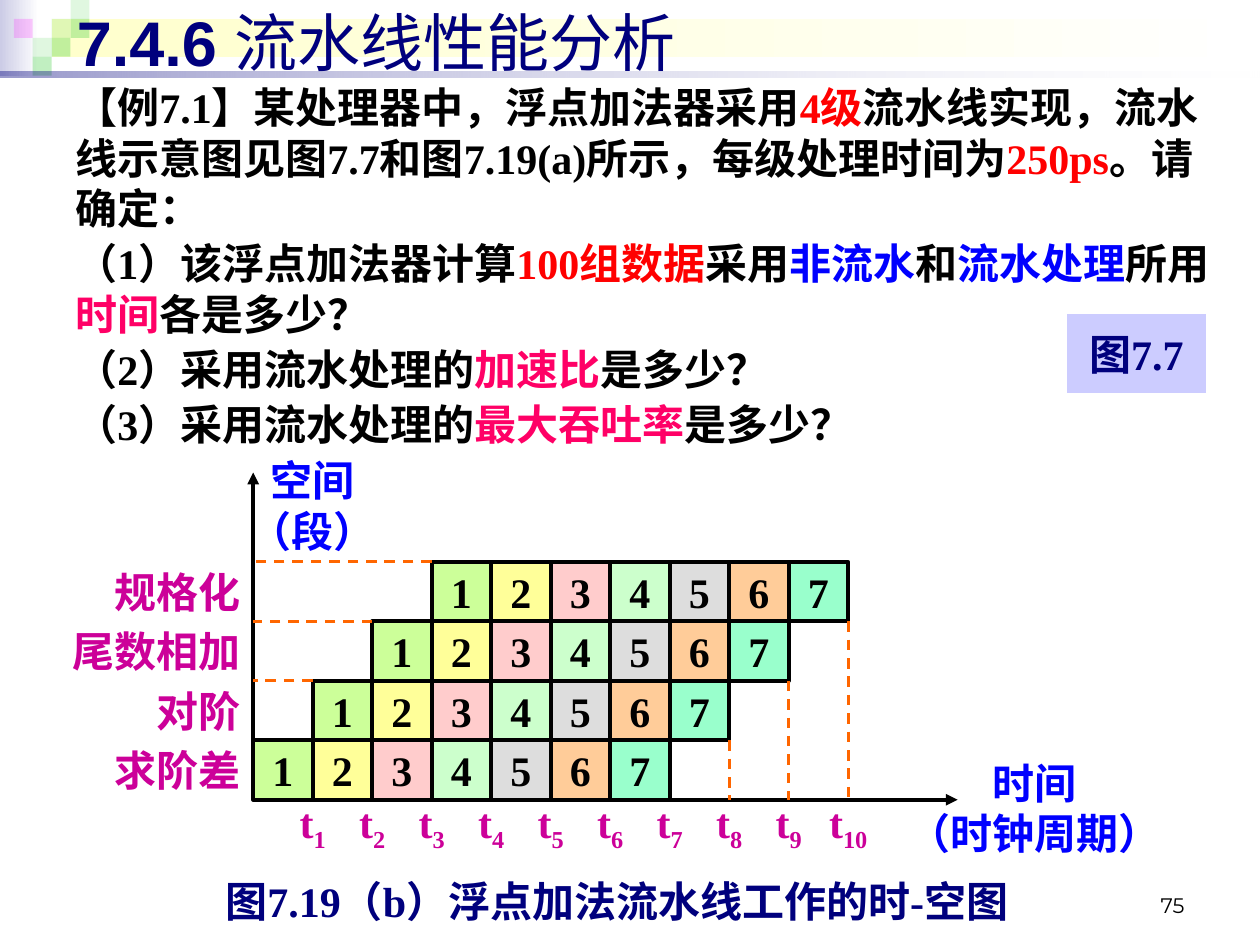
from pptx import Presentation
from pptx.dml.color import RGBColor
from pptx.enum.dml import MSO_LINE
from pptx.enum.shapes import MSO_CONNECTOR, MSO_SHAPE
from pptx.enum.text import MSO_ANCHOR as ANCHOR, MSO_AUTO_SIZE, PP_ALIGN as ALIGN
from pptx.oxml.ns import qn
from pptx.util import Pt
from lxml.etree import SubElement


class Theme:
    navy, black, red = "00007D", "000000", "FF0000"
    blue, pink, magenta, orange = "0000FF", "FF0066", "CC0099", "FF6600"
    green, violet, button = "33CC33", "FF00FF", "CCCCFF"
    bands = [("CCCCE6", "FFFFFF"), ("FFFFCC", "FFFFFF"), ("00007D", "FFFFFF")]
    tasks = ["CCFF99", "FFFF99", "FFCCCC", "CCFFCC", "DDDDDD", "FFCC99", "99FFCC"]
    title_size, text_size, number_size = 36, 24, 12
    title_font, text_font, number_font = "Arial", "Times New Roman", "Montserrat"


def write(shape, *paragraphs, color=Theme.black, size=Theme.text_size,
          font=Theme.text_font, align=ALIGN.LEFT, anchor=ANCHOR.MIDDLE,
          wrap=False, gap=0):
    """Each paragraph is a list of runs: text, or (text, format changes)."""
    frame = shape.text_frame
    frame.auto_size = MSO_AUTO_SIZE.NONE
    frame.word_wrap = wrap
    frame.vertical_anchor = anchor
    for index, runs in enumerate(paragraphs):
        paragraph = frame.add_paragraph() if index else frame.paragraphs[0]
        paragraph.alignment = align
        paragraph.space_before = Pt(gap if index else 0)
        for item in runs:
            text, changes = (item, {}) if isinstance(item, str) else item
            run = paragraph.add_run()
            run.text = text
            run.font.name = font
            run.font.size = Pt(size)
            run.font.bold = changes.get("bold", True)
            run.font.color.rgb = RGBColor.from_string(changes.get("color", color))
            if "baseline" in changes:
                run.font._element.set("baseline", str(changes["baseline"]))


def block(x, y, width, height, colors, opacities=(100,), kind=MSO_SHAPE.RECTANGLE):
    """A borderless shape; two colours make a left-to-right gradient."""
    shape = slide.shapes.add_shape(kind, Pt(x), Pt(y), Pt(width), Pt(height))
    shape.shadow.inherit = False
    shape.line.fill.background()
    if len(colors) == 1:
        shape.fill.solid()
        targets = [shape.fill.fore_color]
    else:
        shape.fill.gradient()
        shape.fill.gradient_angle = 0
        targets = [stop.color for stop in shape.fill.gradient_stops]
    for target, color in zip(targets, colors):
        target.rgb = RGBColor.from_string(color)
    for node, opacity in zip(shape._element.spPr.iter(qn("a:srgbClr")), opacities):
        if opacity < 100:
            SubElement(node, qn("a:alpha")).set("val", str(opacity * 1000))
    return shape


deck = Presentation()
deck.slide_width, deck.slide_height = Pt(720), Pt(540)
slide = deck.slides.add_slide(deck.slide_layouts[5])

# Header decoration
side_band, title_band, rule_band = Theme.bands
block(0, 0, 22.3, 43.2, side_band, (100, 100))
block(29.5, 10.8, 687.6, 21.6, title_band, (100, 100))
TILE = 10.8
for column, row, color, opacity in [
        (2, 1, Theme.green, 15), (3, 0, Theme.green, 15), (3, 1, Theme.green, 30),
        (1, 2, Theme.green, 15), (0, 1, Theme.violet, 20), (2, 2, Theme.green, 30),
        (1, 3, Theme.green, 30)]:
    block(7.9 + column * TILE, row * TILE, TILE, TILE, [color], (opacity,))
block(0, 41, 720, 3.6, rule_band, (40, 10))

# Title, brought in front of the decoration
title = slide.shapes.title
title.left, title.top, title.width, title.height = Pt(36.7), Pt(-2.2), Pt(674.6), Pt(51.1)
write(title, ["7.4.6 ", ("流水线性能分析", {"bold": False})], color=Theme.navy,
      size=Theme.title_size, font=Theme.title_font, wrap=True)
slide.shapes._spTree.append(title._element)

# Page number
page = slide.shapes.add_textbox(Pt(516.2), Pt(491.8), Pt(167.8), Pt(36))
write(page, [("75", {"bold": False})], size=Theme.number_size,
      font=Theme.number_font, align=ALIGN.RIGHT, anchor=ANCHOR.BOTTOM)

# Example and its questions
red, blue, pink = ({"color": color} for color in (Theme.red, Theme.blue, Theme.pink))
example = slide.shapes.add_textbox(Pt(36), Pt(43.2), Pt(675.4), Pt(481.7))
write(example,
      ["【例7.1】某处理器中，浮点加法器采用", ("4级", red),
       "流水线实现，流水线示意图见图7.7和图7.19(a)所示，每级处理时间为",
       ("250ps", red), "。请确定："],
      ["（1）该浮点加法器计算", ("100组数据", red), "采用", ("非流水", blue), "和",
       ("流水处理", blue), "所用", ("时间", pink), "各是多少？"],
      ["（2）采用流水处理的", ("加速比", pink), "是多少？"],
      ["（3）采用流水处理的", ("最大吞吐率", pink), "是多少？"],
      anchor=ANCHOR.TOP, wrap=True, gap=2.8)

# Figure button
figure_button = block(609.8, 179.3, 79.2, 45.4, [Theme.button],
                      kind=MSO_SHAPE.ACTION_BUTTON_CUSTOM)
write(figure_button, ["图7.7"], color=Theme.navy, align=ALIGN.CENTER)

# Space-time grid: each stage starts one step later than the stage below
STEP, ORIGIN_X, ORIGIN_Y = 34, 144.7, 457
stages = ["求阶差", "对阶", "尾数相加", "规格化"]
for level, stage in enumerate(stages):
    top = ORIGIN_Y - (level + 1) * STEP
    label = slide.shapes.add_textbox(Pt(42.5), Pt(top), Pt(102.2), Pt(STEP))
    write(label, [stage], color=Theme.magenta, align=ALIGN.RIGHT)
    for task, color in enumerate(Theme.tasks):
        cell = block(ORIGIN_X + (level + task) * STEP, top, STEP, STEP, [color])
        cell.line.color.rgb = RGBColor.from_string(Theme.black)
        cell.line.width = Pt(2.25)
        write(cell, [str(task + 1)], align=ALIGN.CENTER)

# Time ticks
for tick in range(1, 11):
    mark = slide.shapes.add_textbox(Pt(ORIGIN_X + (tick - 0.5) * STEP), Pt(451.4),
                                    Pt(STEP), Pt(STEP))
    write(mark, ["t", (str(tick), {"baseline": -25000})], color=Theme.magenta,
          align=ALIGN.CENTER, anchor=ANCHOR.TOP)

# Axes and dashed guides, as start and end points
axes = [(ORIGIN_X, ORIGIN_Y, 547.2, ORIGIN_Y), (ORIGIN_X, ORIGIN_Y, ORIGIN_X, 270)]
guides = []
for level in range(1, len(stages)):
    top = ORIGIN_Y - (level + 1) * STEP
    right = ORIGIN_X + (len(Theme.tasks) + level) * STEP
    guides.append((ORIGIN_X + level * STEP, top, ORIGIN_X, top))
    guides.append((right, top + STEP, right, ORIGIN_Y))
for points in axes + guides:
    is_axis = points in axes
    line = slide.shapes.add_connector(MSO_CONNECTOR.STRAIGHT, *map(Pt, points))
    line.line.color.rgb = RGBColor.from_string(Theme.black if is_axis else Theme.orange)
    line.line.width = Pt(2.25 if is_axis else 1.5)
    if is_axis:
        SubElement(line.line._get_or_add_ln(), qn("a:tailEnd")).set("type", "triangle")
    else:
        line.line.dash_style = MSO_LINE.DASH
    SubElement(line._element.spPr, qn("a:effectLst"))

# Axis names
for x, y, width, name, unit in [(510.5, 429.1, 161.3, "时间", "（时钟周期）"),
                                (133.2, 256.3, 90.7, "空间", "（段）")]:
    axis_name = slide.shapes.add_textbox(Pt(x), Pt(y), Pt(width), Pt(64.8))
    write(axis_name, [name], [unit], color=Theme.blue, align=ALIGN.CENTER, wrap=True)

# Caption
caption = slide.shapes.add_textbox(Pt(121.7), Pt(496.8), Pt(463.7), Pt(36))
write(caption, ["图7.19（b）浮点加法流水线工作的时-空图"], color=Theme.navy, wrap=True)

deck.save("out.pptx")
